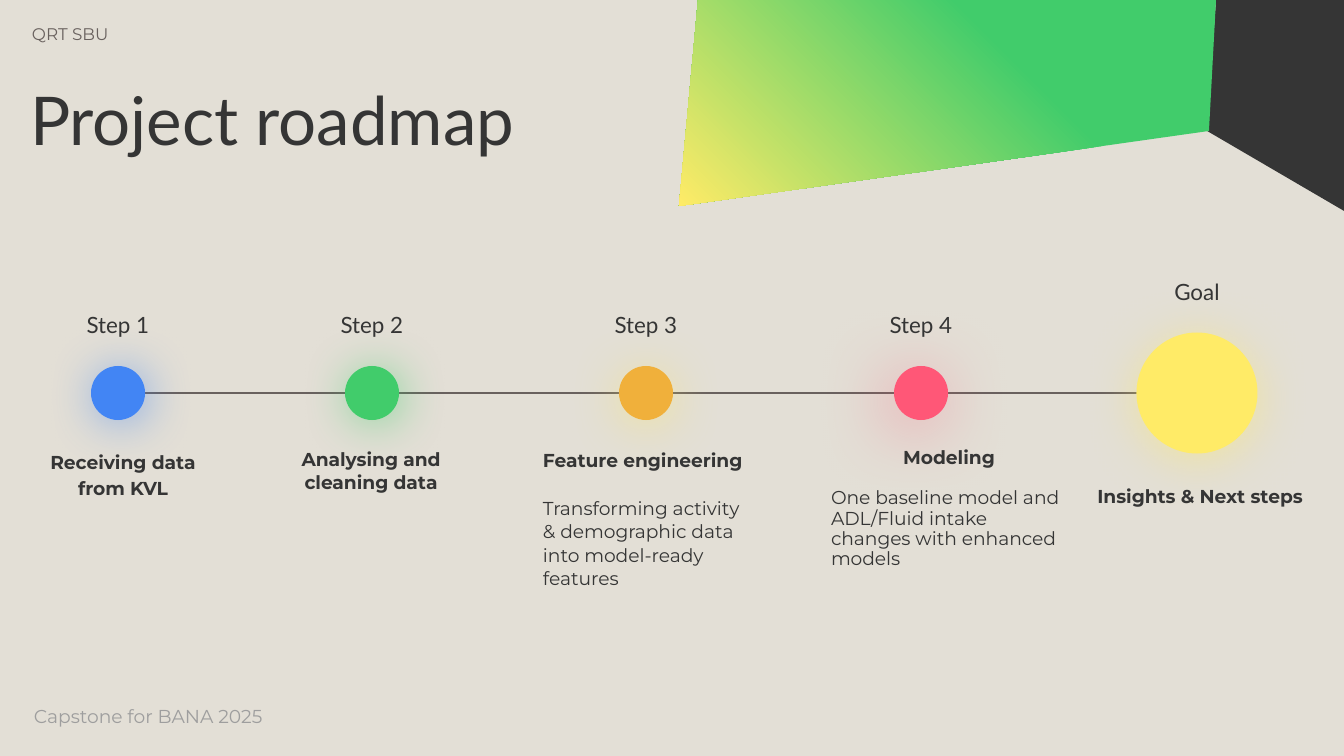
import dataclasses

import pptx
import pptx.dml.color
import pptx.enum.shapes
import pptx.enum.text
import pptx.oxml
import pptx.oxml.ns
import pptx.util

PX = 914400 / 134.4
NS = pptx.oxml.ns.nsdecls("a")
ALIGN = pptx.enum.text.PP_ALIGN
ANCHOR = pptx.enum.text.MSO_ANCHOR


def px(n):
    return pptx.util.Emu(round(n * PX))


def rgb(value):
    return pptx.dml.color.RGBColor.from_string(value)


@dataclasses.dataclass(frozen=True)
class Theme:
    paper: str = "E3DFD6"
    ink: str = "353535"
    line: str = "69615E"
    muted: str = "9E9E9E"
    blue: str = "4285F4"
    green: str = "41CC6B"
    orange: str = "F0B03B"
    pink: str = "FF5777"
    yellow: str = "FFEB67"
    head_font: str = "Lato"
    body_font: str = "Montserrat"
    title_size: int = 36
    step_size: int = 12
    body_size: int = 10
    small_size: int = 9


@dataclasses.dataclass(frozen=True)
class Glow:
    """Soft coloured shadow: blur and distance in points, angle in degrees."""
    color: str
    alpha: int
    blur: float
    dist: float
    angle: int


class Deck:
    def __init__(self, prs, theme):
        self.theme = theme
        self.s = prs.slides.add_slide(prs.slide_layouts[6])
        fill = self.s.background.fill
        fill.solid()
        fill.fore_color.rgb = rgb(theme.paper)

    def paint(self, sp, color):
        sp.shadow.inherit = False
        sp.line.fill.background()
        sp.fill.solid()
        sp.fill.fore_color.rgb = rgb(color)

    def polygon(self, points, color):
        builder = self.s.shapes.build_freeform(*points[0], scale=PX)
        builder.add_line_segments(points[1:], close=True)
        sp = builder.convert_to_shape()
        self.paint(sp, color)
        return sp

    def gradient(self, sp, stops, angle):
        marks = "".join(
            f'<a:gs pos="{pos * 1000}"><a:srgbClr val="{color}"/></a:gs>'
            for pos, color in stops)
        grad = pptx.oxml.parse_xml(
            f'<a:gradFill {NS} rotWithShape="1"><a:gsLst>{marks}</a:gsLst>'
            f'<a:lin ang="{angle * 60000}" scaled="0"/></a:gradFill>')
        solid = sp._element.spPr.find(pptx.oxml.ns.qn("a:solidFill"))
        solid.getparent().replace(solid, grad)

    def rule(self, x1, x2, y):
        line = self.s.shapes.add_connector(
            pptx.enum.shapes.MSO_CONNECTOR.STRAIGHT, px(x1), px(y), px(x2), px(y))
        line.line.color.rgb = rgb(self.theme.line)
        line.line.width = pptx.util.Pt(0.75)
        line._element.spPr.append(pptx.oxml.parse_xml(f"<a:effectLst {NS}/>"))

    def dot(self, cx, cy, size, color, glow):
        sp = self.s.shapes.add_shape(
            pptx.enum.shapes.MSO_SHAPE.OVAL,
            px(cx - size / 2), px(cy - size / 2), px(size), px(size))
        self.paint(sp, color)
        effects = sp._element.spPr.find(pptx.oxml.ns.qn("a:effectLst"))
        effects.append(pptx.oxml.parse_xml(
            f'<a:outerShdw {NS} blurRad="{pptx.util.Pt(glow.blur)}" '
            f'dist="{pptx.util.Pt(glow.dist)}" dir="{glow.angle * 60000}" '
            f'algn="bl" rotWithShape="0"><a:srgbClr val="{glow.color}">'
            f'<a:alpha val="{glow.alpha * 1000}"/></a:srgbClr></a:outerShdw>'))

    def text(self, box, text, size, font, color, align=ALIGN.LEFT,
             spacing=1.0, bold=False, inset=13, left=None, anchor=ANCHOR.TOP):
        tf = self.s.shapes.add_textbox(*map(px, box)).text_frame
        tf.word_wrap = True
        tf.vertical_anchor = anchor
        tf.margin_top = tf.margin_right = tf.margin_bottom = px(inset)
        tf.margin_left = px(inset if left is None else left)
        self.style(tf.paragraphs[0], text, size, font, color, align, spacing, bold)
        return tf

    def style(self, p, text, size, font, color, align, spacing, bold):
        p.text = text
        p.alignment = align
        p.line_spacing = spacing
        p.font.size = pptx.util.Pt(size)
        p.font.name = font
        p.font.bold = bold
        p.font.color.rgb = rgb(color)

    def step_label(self, cx, top, label):
        t = self.theme
        self.text((cx - 60, top, 120, 54), label, t.step_size, t.head_font,
                  t.ink, ALIGN.CENTER)

    def step_body(self, box, heading, detail, align, spacing):
        t = self.theme
        look = (t.body_size, t.body_font, t.ink)
        tf = self.text(box, heading, *look, align, spacing, bold=True)
        if detail:
            p = tf.add_paragraph()
            self.style(p, detail, *look, ALIGN.LEFT, spacing, False)
            p.space_before = pptx.util.Pt(round(12.2 * spacing, 1))


def main():
    prs = pptx.Presentation()
    prs.slide_width, prs.slide_height = px(1344), px(756)
    t = Theme()
    deck = Deck(prs, t)

    deck.polygon([(1207, 131), (1344, 211), (1344, 0), (1216, 0)], t.ink)
    banner = deck.polygon([(698, 0), (679, 206), (1209, 131), (1216, 0)], t.green)
    deck.gradient(banner, [(0, t.green), (35, t.green), (100, t.yellow)], 135)

    deck.text((5, 13, 233, 28), "QRT SBU", t.small_size, t.body_font, t.line, left=27)
    deck.text((17, 74, 856, 101), "Project roadmap", t.title_size, t.head_font,
              t.ink, spacing=0.9)
    deck.text((34, 702, 285, 28), "Capstone for BANA 2025", t.body_size,
              t.body_font, t.muted, inset=0, anchor=ANCHOR.MIDDLE)

    axis = 393
    deck.rule(101, 1230, axis)
    warm = Glow(t.yellow, 50, 27, 3, 90)
    # label, centre, dot size, colour, glow, text box, heading, detail, align, spacing
    steps = [
        ("Step 1", 118, 54, t.blue, Glow(t.blue, 56, 25.9, 2.2, 45),
         (22, 435, 202, 156), "Receiving data from KVL", "", ALIGN.CENTER, 1.15),
        ("Step 2", 372, 54, t.green, Glow(t.green, 56, 25.9, 2.2, 45),
         (270, 435, 202, 156), "Analysing and cleaning data", "", ALIGN.CENTER, 1.0),
        ("Step 3", 646, 54, t.orange, warm,
         (530, 435, 233, 156), "Feature engineering",
         "Transforming activity & demographic data into model-ready features",
         ALIGN.LEFT, 1.05),
        ("Step 4", 921, 54, t.pink, Glow(t.pink, 50, 38.2, 6, 130),
         (818, 435, 262, 156), "Modeling",
         "One baseline model and ADL/Fluid intake changes with enhanced models",
         ALIGN.CENTER, 0.9),
        ("Goal", 1197, 121, t.yellow, warm,
         (1079, 469, 242, 211), "Insights & Next steps", "", ALIGN.CENTER, 1.15),
    ]
    for label, cx, size, color, glow, box, heading, detail, align, spacing in steps:
        deck.dot(cx, axis, size, color, glow)
        deck.step_label(cx, axis - 68 - size // 2, label)
        deck.step_body(box, heading, detail, align, spacing)

    prs.save("out.pptx")


if __name__ == "__main__":
    main()
